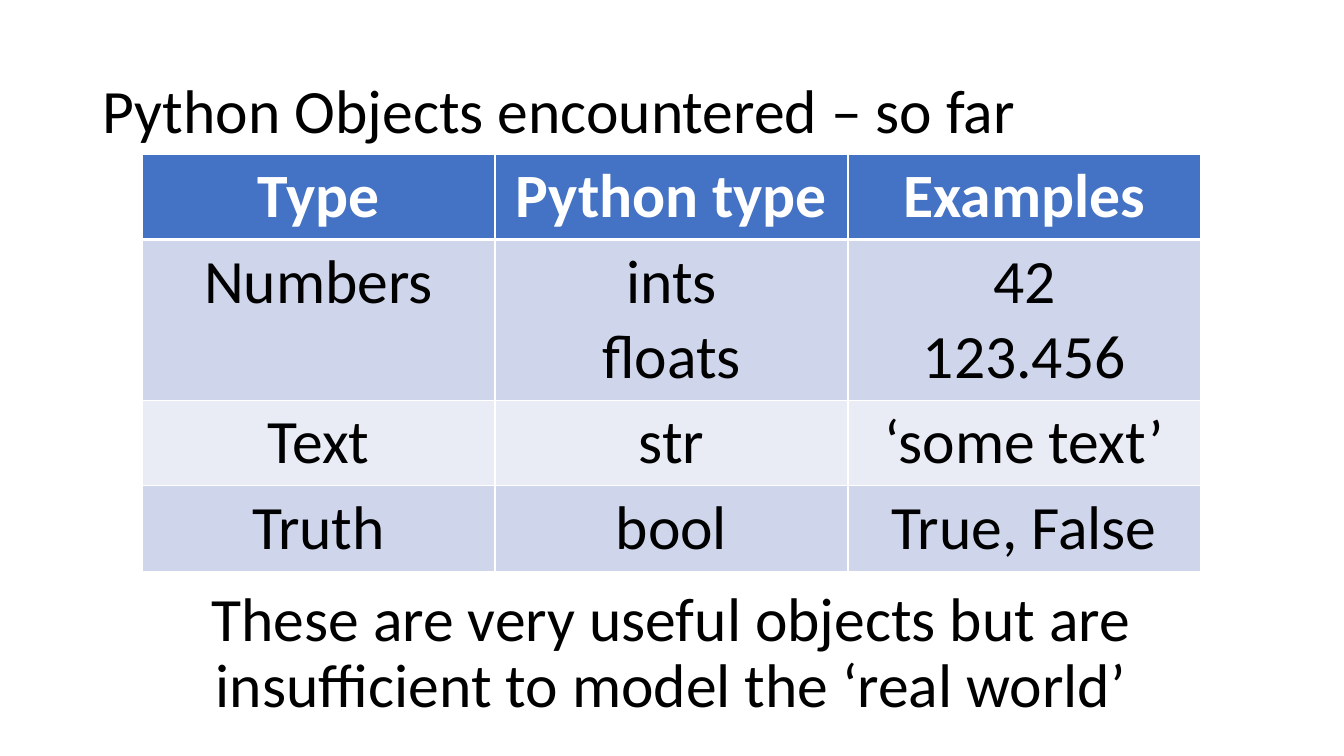
"""Build a slide that sums up the Python object types met so far."""
import pptx
import pptx.util
import pptx.dml.color
import pptx.enum.text
import pptx.oxml
import pptx.oxml.ns

Inches = pptx.util.Inches
Pt = pptx.util.Pt
RGBColor = pptx.dml.color.RGBColor
Align = pptx.enum.text.PP_ALIGN
Anchor = pptx.enum.text.MSO_ANCHOR

BLACK = RGBColor(0x00, 0x00, 0x00)
WHITE = RGBColor(0xFF, 0xFF, 0xFF)
BLUE = RGBColor(0x44, 0x72, 0xC4)
DARK = RGBColor(0xCF, 0xD5, 0xEA)
LIGHT = RGBColor(0xE9, 0xEB, 0xF5)

ROWS = [
    ("Type", "Python type", "Examples"),
    ("Numbers", "ints\vfloats", "42\v123.456"),
    ("Text", "str", "‘some text’"),
    ("Truth", "bool", "True, False"),
]
HEIGHTS = [0.84, 1.59, 0.84, 0.84]


class Page:
    """Holds the text style and the slide being filled."""

    def __init__(self, slide, font="Calibri", size=44):
        self.slide = slide
        self.font = font
        self.size = size

    def style(self, frame, align, color=BLACK, bold=False, space=None):
        for para in frame.paragraphs:
            para.alignment = align
            para.line_spacing = space
            for run in para.runs:
                run.font.name = self.font
                run.font.size = Pt(self.size)
                run.font.bold = bold
                run.font.color.rgb = color

    def text(self, words, left, top, width, height, align):
        box = self.slide.shapes.add_textbox(
            Inches(left), Inches(top), Inches(width), Inches(height))
        frame = box.text_frame
        frame.word_wrap = True
        frame.vertical_anchor = Anchor.MIDDLE
        frame.text = words
        self.style(frame, align, space=0.9)

    def border(self, cell, widths):
        props = cell._tc.get_or_add_tcPr()
        space = pptx.oxml.ns.nsdecls("a")
        for spot, (side, width) in enumerate(widths.items()):
            line = pptx.oxml.parse_xml(
                f'<a:ln{side} {space} w="{Pt(width)}"><a:solidFill>'
                f'<a:srgbClr val="{WHITE}"/></a:solidFill></a:ln{side}>')
            props.insert(spot, line)

    def table(self, rows, heights, left, top, width):
        count = len(rows[0])
        grid = self.slide.shapes.add_table(
            len(rows), count, Inches(left), Inches(top),
            Inches(width), Inches(sum(heights))).table
        for col in grid.columns:
            col.width = Inches(width / count)
        for r, (row, height) in enumerate(zip(rows, heights)):
            head = r == 0
            fill = BLUE if head else DARK if r % 2 else LIGHT
            sides = {"L": 1, "R": 1, "T": 3 if r == 1 else 1, "B": 3 if head else 1}
            grid.rows[r].height = Inches(height)
            for c, words in enumerate(row):
                cell = grid.cell(r, c)
                cell.text_frame.text = words
                self.style(cell.text_frame, Align.CENTER,
                           WHITE if head else BLACK, head)
                cell.fill.solid()
                cell.fill.fore_color.rgb = fill
                self.border(cell, sides)


def main():
    deck = pptx.Presentation()
    deck.slide_width = Inches(13.33)
    deck.slide_height = Inches(7.5)
    page = Page(deck.slides.add_slide(deck.slide_layouts[6]))
    page.table(ROWS, HEIGHTS, 1.41, 1.53, 10.5)
    page.text("Python Objects encountered – so far",
              0.92, 0.4, 11.5, 1.45, Align.LEFT)
    page.text("These are very useful objects but are insufficient "
              "to model the ‘real world’",
              0.65, 5.82, 12.02, 1.35, Align.CENTER)
    deck.save("out.pptx")


if __name__ == "__main__":
    main()
